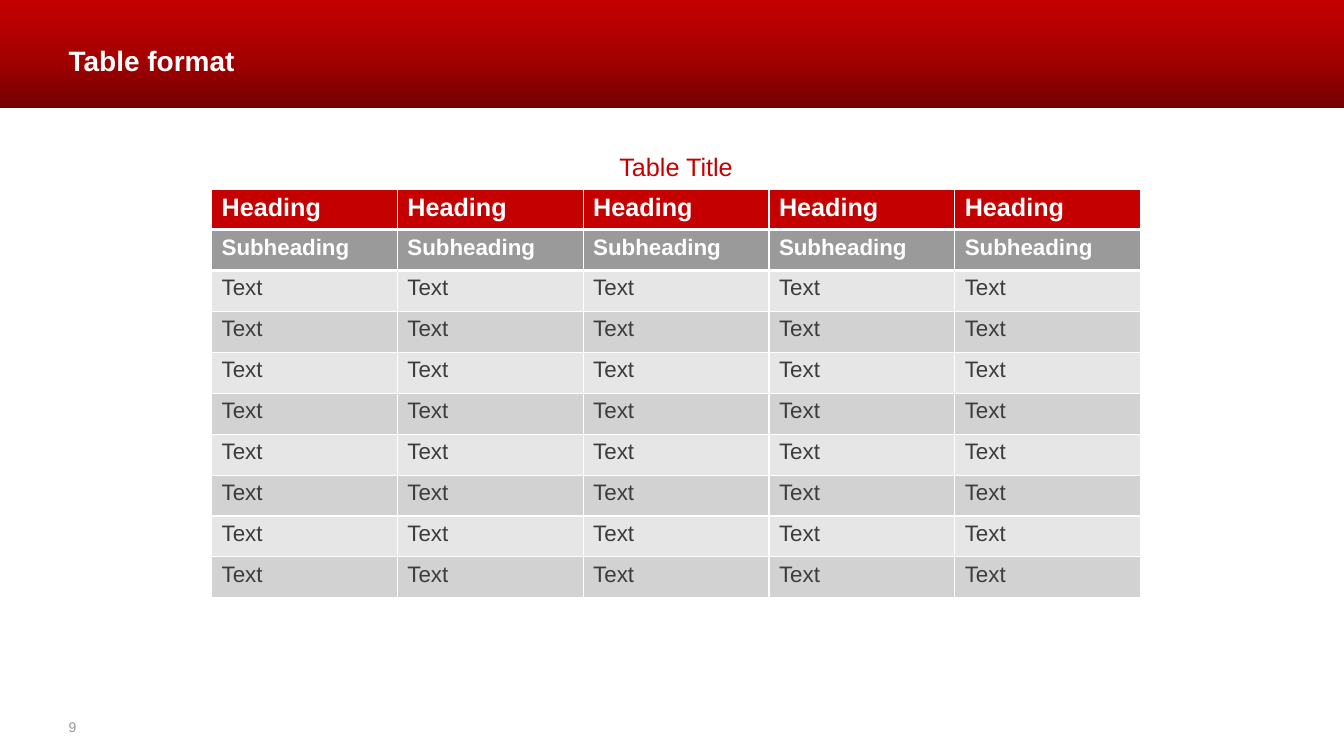
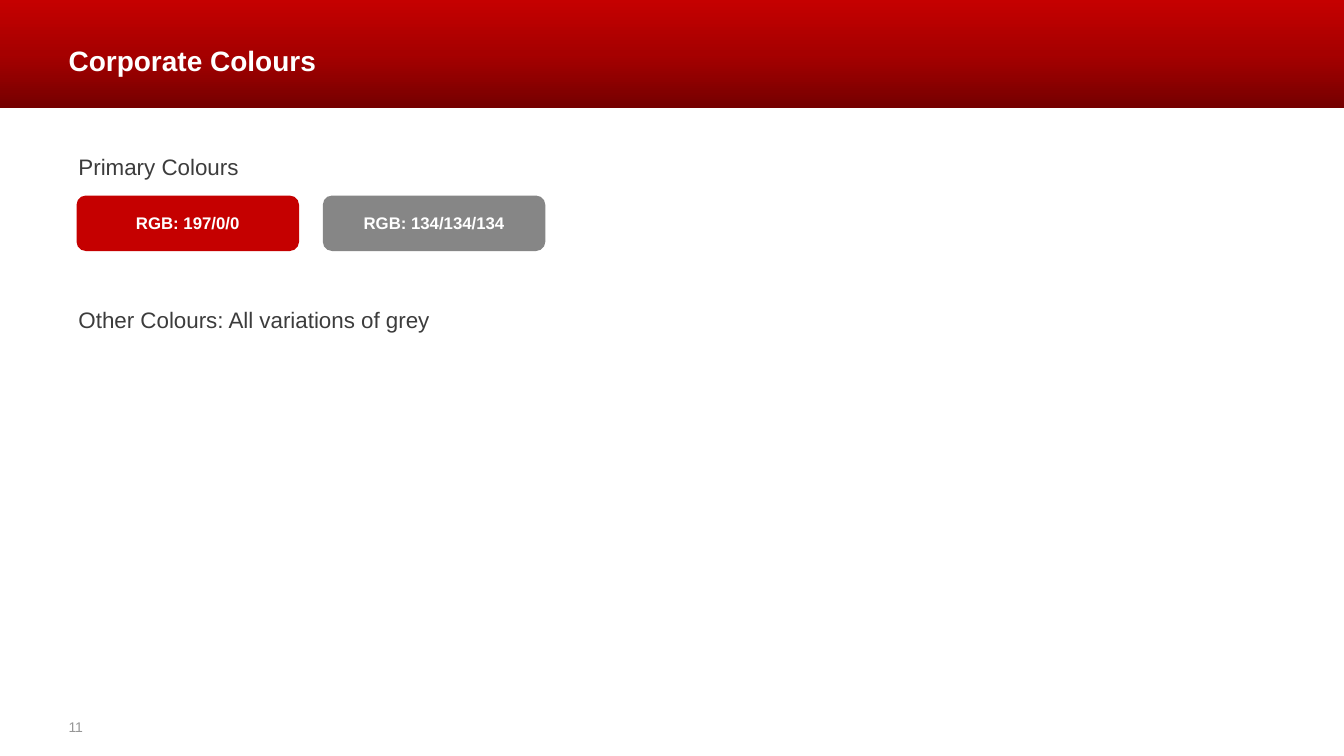
import dataclasses
import copy

import lxml.etree
import pptx
import pptx.dml.color
import pptx.enum.shapes
import pptx.enum.text
import pptx.oxml.ns
import pptx.util

Pt = pptx.util.Pt
ALIGN = pptx.enum.text.PP_ALIGN
ANCHOR = pptx.enum.text.MSO_ANCHOR


@dataclasses.dataclass(frozen=True)
class Theme:
    font: str = "Arial"
    # Colours
    white: str = "FFFFFF"
    red: str = "C50000"
    grey: str = "868686"
    subheading: str = "9A9A9A"
    stripes: tuple = ("E6E6E6", "D2D2D2")
    text: str = "3C3C3C"
    page_number: str = "969696"
    band: tuple = ((0, "750000"), (0.5, "A60000"), (1, "C50000"))
    # Type sizes
    title_size: float = 20
    heading_size: float = 18
    body_size: float = 16
    label_size: float = 12
    number_size: float = 10
    # Shared lengths
    width: float = 960.48
    height: float = 540
    margin: float = 49
    content_top: float = 105.8
    band_height: float = 77


THEME = Theme()


def rgb(color):
    return pptx.dml.color.RGBColor.from_string(color)


def style_paragraph(para, size, color, bold=False, align=ALIGN.LEFT):
    para.alignment = align
    for run in para.runs:
        run.font.name = THEME.font
        run.font.size = Pt(size)
        run.font.bold = bold
        run.font.color.rgb = rgb(color)


def remove_insets(frame):
    frame.margin_left = frame.margin_top = 0
    frame.margin_right = frame.margin_bottom = 0


def add_text(page, text, area, size, color, bold=False, anchor=ANCHOR.TOP):
    box = page.shapes.add_textbox(*map(Pt, area))
    frame = box.text_frame
    frame.word_wrap = True
    frame.vertical_anchor = anchor
    frame.text = text
    for para in frame.paragraphs:
        style_paragraph(para, size, color, bold)
    return frame


def add_band(page):
    band = page.shapes.add_shape(
        pptx.enum.shapes.MSO_SHAPE.RECTANGLE,
        0, 0, Pt(THEME.width), Pt(THEME.band_height))
    band.shadow.inherit = False
    band.line.fill.background()
    band.fill.gradient()
    band.fill.gradient_angle = 90
    # The default gradient has two stops; a third is added here
    first_stop = band.element.spPr.find(".//" + pptx.oxml.ns.qn("a:gs"))
    first_stop.addnext(copy.deepcopy(first_stop))
    for stop, (position, color) in zip(band.fill.gradient_stops, THEME.band):
        stop.position = position
        stop.color.rgb = rgb(color)


def add_page(deck, title, number):
    page = deck.slides.add_slide(deck.slide_layouts[6])
    add_band(page)
    remove_insets(add_text(
        page, title, (THEME.margin, 9.4, 628, 67.6), THEME.title_size,
        THEME.white, bold=True, anchor=ANCHOR.MIDDLE))
    remove_insets(add_text(
        page, str(number), (THEME.margin, 508.3, 42, 17.3),
        THEME.number_size, THEME.page_number, anchor=ANCHOR.BOTTOM))
    return page


def set_borders(cell, top, bottom):
    properties = cell._tc.get_or_add_tcPr()
    for side, width in (("L", 1), ("R", 1), ("T", top), ("B", bottom)):
        line = lxml.etree.SubElement(
            properties, pptx.oxml.ns.qn(f"a:ln{side}"), w=str(Pt(width)))
        fill = lxml.etree.SubElement(line, pptx.oxml.ns.qn("a:solidFill"))
        lxml.etree.SubElement(
            fill, pptx.oxml.ns.qn("a:srgbClr"), val=THEME.white)


def fill_row(cells, text, fill, size, color, bold):
    for cell in cells:
        cell.text = text
        cell.fill.solid()
        cell.fill.fore_color.rgb = rgb(fill)
        style_paragraph(cell.text_frame.paragraphs[0], size, color, bold)


def add_striped_table(page, title, heading, subheading, text,
                      text_rows=8, columns=5):
    row_count = text_rows + 3
    column_width, row_height = 132.8, 29.2
    table = page.shapes.add_table(
        row_count, columns, Pt(151.2), Pt(THEME.content_top),
        Pt(columns * column_width), Pt(row_count * row_height)).table
    table.first_row = table.horz_banding = False
    for column in table.columns:
        column.width = Pt(column_width)

    # Thick rules separate the title, the headings and the text rows
    for index, row in enumerate(table.rows):
        row.height = Pt(row_height)
        for cell in row.cells:
            set_borders(cell, top=2.25 if 1 <= index <= 3 else 1,
                        bottom=2.25 if index <= 2 else 1)

    # Title across all columns
    title_cell = table.cell(0, 0)
    title_cell.merge(table.cell(0, columns - 1))
    title_cell.text = title
    style_paragraph(title_cell.text_frame.paragraphs[0], THEME.heading_size,
                    THEME.red, align=ALIGN.CENTER)
    for cell in table.rows[0].cells:
        cell.fill.background()

    # Headings and striped rows
    fill_row(table.rows[1].cells, heading, THEME.red,
             THEME.heading_size, THEME.white, True)
    fill_row(table.rows[2].cells, subheading, THEME.subheading,
             THEME.body_size, THEME.white, True)
    for index in range(text_rows):
        fill_row(table.rows[index + 3].cells, text, THEME.stripes[index % 2],
                 THEME.body_size, THEME.text, False)


def add_swatch(page, left, text, color):
    swatch = page.shapes.add_shape(
        pptx.enum.shapes.MSO_SHAPE.ROUNDED_RECTANGLE,
        Pt(left), Pt(139.7), Pt(159), Pt(39.6))
    swatch.shadow.inherit = False
    swatch.fill.solid()
    swatch.fill.fore_color.rgb = rgb(color)
    swatch.line.fill.background()
    frame = swatch.text_frame
    remove_insets(frame)
    frame.word_wrap = False
    frame.vertical_anchor = ANCHOR.MIDDLE
    frame.text = text
    style_paragraph(frame.paragraphs[0], THEME.label_size, THEME.white,
                    bold=True, align=ALIGN.CENTER)


def add_colours(page):
    frame = add_text(
        page, "Primary Colours\nOther Colours: All variations of grey",
        (THEME.margin, THEME.content_top, 862, 363),
        THEME.body_size, THEME.text)
    # Room for the swatches between the two lines
    frame.paragraphs[1].space_before = Pt(90.3)
    swatches = (("RGB: 197/0/0", THEME.red), ("RGB: 134/134/134", THEME.grey))
    for index, (text, color) in enumerate(swatches):
        add_swatch(page, 54.7 + index * 176, text, color)


def main():
    deck = pptx.Presentation()
    deck.slide_width = Pt(THEME.width)
    deck.slide_height = Pt(THEME.height)

    table_page = add_page(deck, "Table format", 9)
    add_striped_table(table_page, "Table Title", "Heading", "Subheading",
                      "Text")

    colours_page = add_page(deck, "Corporate Colours", 11)
    add_colours(colours_page)

    deck.save("out.pptx")


if __name__ == "__main__":
    main()
